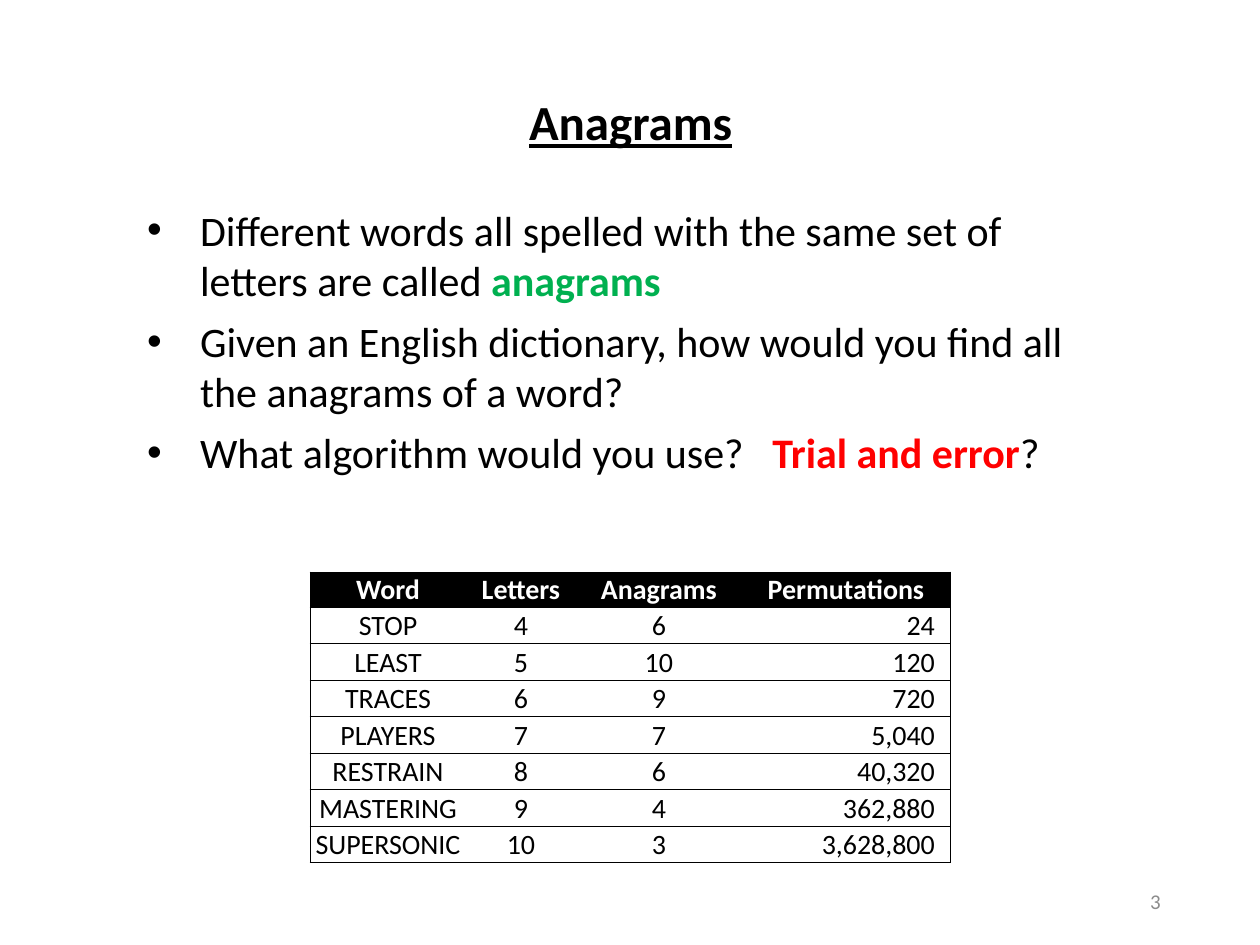
"""Build the slide that introduces anagrams."""
import lxml.etree
import pptx
import pptx.dml.color
import pptx.enum.text
import pptx.oxml
import pptx.oxml.ns
import pptx.util

Inches = pptx.util.Inches
Pt = pptx.util.Pt
ALIGN = pptx.enum.text.PP_ALIGN
ANCHOR = pptx.enum.text.MSO_ANCHOR
qn = pptx.oxml.ns.qn

COLORS = {"black": "000000", "white": "FFFFFF", "green": "00B050", "red": "FF0000", "gray": "8C8C8C"}
TITLE = "Anagrams"
BULLETS = [
    [("Different words all spelled with the same set of letters are called ", "black"), ("anagrams", "green")],
    [("Given an English dictionary, how would you find all the anagrams of a word?", "black")],
    [("What algorithm would you use?   ", "black"), ("Trial and error", "red"), ("?", "black")],
]
ROWS = [
    ("Word", "Letters", "Anagrams", "Permutations"),
    ("STOP", "4", "6", "24"),
    ("LEAST", "5", "10", "120"),
    ("TRACES", "6", "9", "720"),
    ("PLAYERS", "7", "7", "5,040"),
    ("RESTRAIN", "8", "6", "40,320"),
    ("MASTERING", "9", "4", "362,880"),
    ("SUPERSONIC", "10", "3", "3,628,800"),
]
COLUMN_WIDTHS = [1.24, 0.87, 1.32, 1.65]
HEADER_HEIGHT, ROW_HEIGHT = 0.27, 0.29
SLIDE_NUMBER = "3"


def rgb(name):
    return pptx.dml.color.RGBColor.from_string(COLORS[name])


def style(font, size, color, bold=False):
    font.name, font.size, font.bold = "Calibri", Pt(size), bold
    font.color.rgb = rgb(color)


def add_text_box(slide, *box):
    shape = slide.shapes.add_textbox(*map(Inches, box))
    shape.text_frame.word_wrap = True
    return shape.text_frame


def add_title(slide):
    title = slide.shapes.title
    title.left, title.top, title.width, title.height = map(Inches, (2.64, 0.68, 4.73, 0.57))
    title.text_frame.text = TITLE
    title.text_frame.vertical_anchor = ANCHOR.TOP
    paragraph = title.text_frame.paragraphs[0]
    paragraph.alignment = ALIGN.CENTER
    style(paragraph.font, 28, "black", True)
    paragraph.font.underline = True


def add_bullets(slide):
    frame = add_text_box(slide, 1.07, 1.57, 7.86, 2.29)
    for index, runs in enumerate(BULLETS):
        paragraph = frame.paragraphs[0] if index == 0 else frame.add_paragraph()
        paragraph.space_after = Pt(6)
        properties = paragraph._p.get_or_add_pPr()
        properties.set("marL", str(Inches(0.42)))
        properties.set("indent", str(-Inches(0.42)))
        lxml.etree.SubElement(properties, qn("a:buFont")).set("typeface", "Arial")
        lxml.etree.SubElement(properties, qn("a:buChar")).set("char", "•")
        for text, color in runs:
            run = paragraph.add_run()
            run.text = text
            style(run.font, 24, color, color != "black")


def set_borders(cell, sides):
    properties = cell._tc.get_or_add_tcPr()
    for side in "LRTB":
        line = lxml.etree.SubElement(properties, qn("a:ln" + side))
        if side in sides:
            line.set("w", str(Pt(0.5)))
            fill = lxml.etree.SubElement(line, qn("a:solidFill"))
            lxml.etree.SubElement(fill, qn("a:srgbClr")).set("val", COLORS["black"])
        else:
            lxml.etree.SubElement(line, qn("a:noFill"))


def add_word_table(slide):
    heights = [HEADER_HEIGHT] + [ROW_HEIGHT] * (len(ROWS) - 1)
    box = map(Inches, (2.46, 4.54, sum(COLUMN_WIDTHS), sum(heights)))
    table = slide.shapes.add_table(len(ROWS), len(COLUMN_WIDTHS), *box).table
    table.first_row = table.horz_banding = False
    last = len(COLUMN_WIDTHS) - 1
    for column, width in zip(table.columns, COLUMN_WIDTHS):
        column.width = Inches(width)
    for row_index, values in enumerate(ROWS):
        table.rows[row_index].height = Inches(heights[row_index])
        header = row_index == 0
        for column_index, value in enumerate(values):
            cell = table.cell(row_index, column_index)
            number = column_index == last and not header
            set_borders(cell, "TB" + {0: "L", last: "R"}.get(column_index, ""))
            if header:
                cell.fill.solid()
                cell.fill.fore_color.rgb = rgb("black")
            else:
                cell.fill.background()
            cell.margin_left = cell.margin_top = Inches(0.01)
            cell.margin_right = Inches(0.12 if number else 0.01)
            cell.margin_bottom = 0
            cell.vertical_anchor = ANCHOR.BOTTOM
            cell.text = value
            paragraph = cell.text_frame.paragraphs[0]
            paragraph.alignment = ALIGN.RIGHT if number else ALIGN.CENTER
            style(paragraph.font, 16, "white" if header else "black", header)


def add_slide_number(slide):
    frame = add_text_box(slide, 7.06, 6.95, 2.25, 0.4)
    frame.vertical_anchor = ANCHOR.MIDDLE
    frame.text = SLIDE_NUMBER
    paragraph = frame.paragraphs[0]
    paragraph.alignment = ALIGN.RIGHT
    style(paragraph.font, 12, "gray")


def main():
    presentation = pptx.Presentation()
    presentation.slide_width, presentation.slide_height = Inches(10), Inches(7.5)
    slide = presentation.slides.add_slide(presentation.slide_layouts.get_by_name("Title Only"))
    add_title(slide)
    add_bullets(slide)
    add_word_table(slide)
    add_slide_number(slide)
    presentation.save("out.pptx")


if __name__ == "__main__":
    main()
